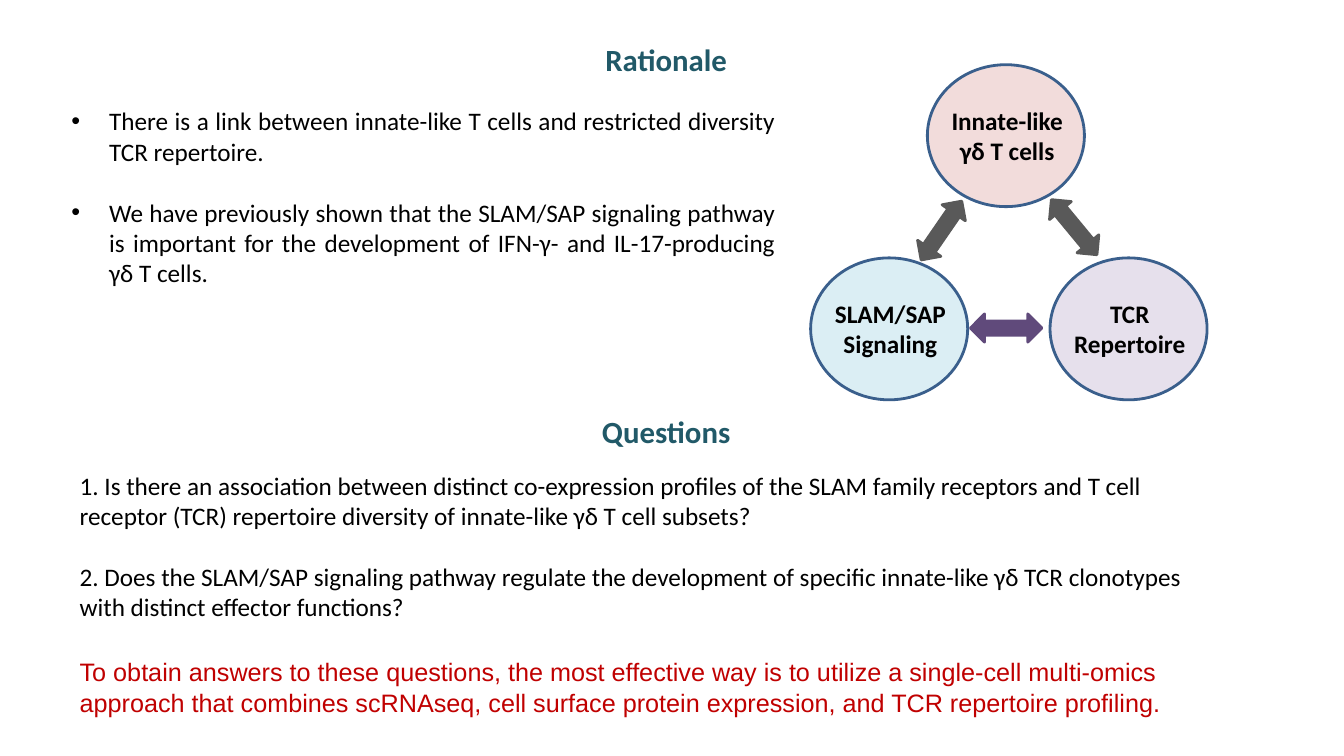
import dataclasses

import lxml.etree
import pptx
import pptx.dml.color
import pptx.enum.shapes
import pptx.enum.text
import pptx.oxml.ns
import pptx.util

COLUMNS, ROWS = 160, 90
SLIDE_WIDTH, SLIDE_HEIGHT = pptx.util.Inches(13.33), pptx.util.Inches(7.5)
ALIGN = pptx.enum.text.PP_ALIGN
SHAPES = pptx.enum.shapes.MSO_SHAPE


@dataclasses.dataclass(frozen=True)
class Theme:
    """Colours, fonts and type sizes of the slide."""
    heading: str = "215968"
    text: str = "000000"
    conclusion: str = "C00000"
    outline: str = "3A5F8C"
    cells: str = "F2DCDB"
    signaling: str = "DBEEF4"
    repertoire: str = "E6E0EC"
    grey_arrow: str = "595959"
    purple_arrow: str = "604A7B"
    font: str = "Calibri"
    conclusion_font: str = "Arial"
    heading_size: int = 22
    body_size: int = 18
    paragraph_gap: int = 22
    line_width: int = 2


THEME = Theme()


def place(left, top, width, height):
    """Turn grid columns and rows into slide lengths."""
    column, row = SLIDE_WIDTH / COLUMNS, SLIDE_HEIGHT / ROWS
    return [round(n) for n in (left * column, top * row, width * column, height * row)]


def rgb(code):
    """Return the colour object for a hex code."""
    return pptx.dml.color.RGBColor.from_string(code)


def add_bullet(para):
    """Give a paragraph a hanging round bullet."""
    properties = para._p.get_or_add_pPr()
    indent = pptx.util.Inches(0.375)
    properties.set("marL", str(indent))
    properties.set("indent", str(-indent))
    for tag, name, value in (("a:buFont", "typeface", "Arial"), ("a:buChar", "char", "•")):
        element = lxml.etree.SubElement(properties, pptx.oxml.ns.qn(tag))
        element.set(name, value)


def add_text(page, area, lines, align=ALIGN.LEFT, color=THEME.text, size=THEME.body_size,
             font=THEME.font, bold=False, bullets=False, gap=0):
    """Add a wrapping text box with one paragraph per line."""
    box = page.shapes.add_textbox(*place(*area))
    frame = box.text_frame
    frame.word_wrap = True
    frame.auto_size = pptx.enum.text.MSO_AUTO_SIZE.SHAPE_TO_FIT_TEXT
    for index, line in enumerate(lines):
        para = frame.add_paragraph() if index else frame.paragraphs[0]
        para.alignment = align
        if index:
            para.space_before = pptx.util.Pt(gap)
        if bullets:
            add_bullet(para)
        span = para.add_run()
        span.text = line
        span.font.name = font
        span.font.size = pptx.util.Pt(size)
        span.font.bold = bold
        span.font.color.rgb = rgb(color)


def add_heading(page, top, title):
    """Add a centred section heading."""
    add_text(page, (24.4, top, 109.8, 5.6), [title], ALIGN.CENTER, THEME.heading,
             THEME.heading_size, bold=True)


def add_figure(page, kind, area, fill, outline):
    """Add a filled and outlined preset shape."""
    figure = page.shapes.add_shape(kind, *place(*area))
    figure.shadow.inherit = False
    figure.fill.solid()
    figure.fill.fore_color.rgb = rgb(fill)
    figure.line.color.rgb = rgb(outline)
    figure.line.width = pptx.util.Pt(THEME.line_width)
    return figure


def add_topic(page, left, top, fill, lines):
    """Add a circle with its centred label."""
    add_figure(page, SHAPES.OVAL, (left, top, 18.7, 16.9), fill, THEME.outline)
    add_text(page, (left + 0.15, top + 4.2, 18.7, 8.5), lines, ALIGN.CENTER, bold=True)


def add_double_arrow(page, left, top, rotation, color):
    """Add a rotated arrow with two heads."""
    arrow = add_figure(page, SHAPES.UP_DOWN_ARROW, (left, top, 3.36, 8.5), color, color)
    arrow.rotation = rotation


def main():
    """Build the slide and save it."""
    deck = pptx.Presentation()
    deck.slide_width, deck.slide_height = SLIDE_WIDTH, SLIDE_HEIGHT
    page = deck.slides.add_slide(deck.slide_layouts[6])

    for topic in (
        (110.4, 7.7, THEME.cells, ["Innate-like", "γδ Τ cells"]),
        (96.5, 30.7, THEME.signaling, ["SLAM/SAP", "Signaling"]),
        (125, 30.7, THEME.repertoire, ["TCR Repertoire"]),
    ):
        add_topic(page, *topic)
    for arrow in (
        (110.4, 23.2, 34.6, THEME.grey_arrow),
        (126.2, 22.8, 320.4, THEME.grey_arrow),
        (118.1, 34.8, 270, THEME.purple_arrow),
    ):
        add_double_arrow(page, *arrow)

    add_heading(page, 4.2, "Rationale")
    add_text(page, (7.3, 12, 86.2, 23), [
        "There is a link between innate-like T cells and restricted diversity TCR repertoire.",
        "We have previously shown that the SLAM/SAP signaling pathway is important for the "
        "development of IFN-γ- and IL-17-producing γδ T cells.",
    ], ALIGN.JUSTIFY, bullets=True, gap=THEME.paragraph_gap)

    add_heading(page, 48.6, "Questions")
    add_text(page, (8.3, 55.4, 139.2, 19.4), [
        "1. Is there an association between distinct co-expression profiles of the SLAM family "
        "receptors and T cell receptor (TCR) repertoire diversity of innate-like γδ T cell subsets?",
        "2. Does the SLAM/SAP signaling pathway regulate the development of specific innate-like "
        "γδ TCR clonotypes with distinct effector functions?",
    ], gap=THEME.paragraph_gap)
    add_text(page, (8.3, 77.6, 143, 8.5), [
        "To obtain answers to these questions, the most effective way is to utilize a single-cell "
        "multi-omics approach that combines scRNAseq, cell surface protein expression, and TCR "
        "repertoire profiling.",
    ], color=THEME.conclusion, font=THEME.conclusion_font)
    deck.save("out.pptx")


if __name__ == "__main__":
    main()
